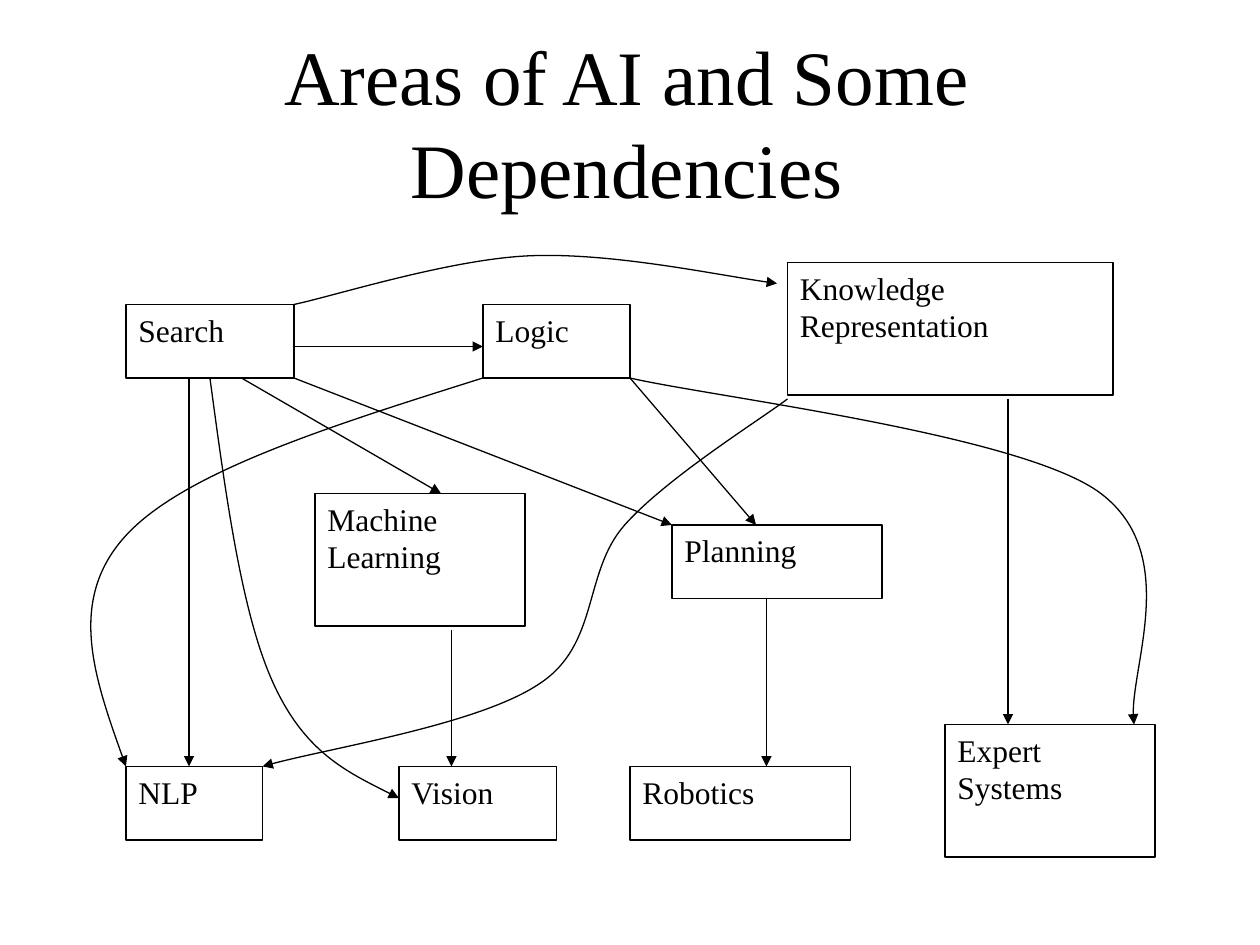
"""Build the slide of AI areas and the dependencies between them."""
from lxml.etree import SubElement
from pptx import Presentation
from pptx.dml.color import RGBColor
from pptx.enum.shapes import MSO_CONNECTOR, MSO_SHAPE
from pptx.enum.text import MSO_ANCHOR, PP_ALIGN
from pptx.oxml.ns import qn
from pptx.util import Pt

PX = 9525
THEME = {
    "ink": RGBColor(0, 0, 0),
    "line": Pt(0.75),
    "title": {"name": "Times New Roman", "size": Pt(44)},
    "label": {"name": "Times New Roman", "size": Pt(18)},
}
SHORT, TALL = 56, 101
BOXES = [
    ("Search", 96, 232, 128, SHORT),
    ("Vision", 304, 584, 120, SHORT),
    ("Planning", 512, 400, 160, SHORT),
    ("Machine Learning", 240, 376, 160, TALL),
    ("Knowledge Representation", 600, 200, 248, TALL),
    ("Logic", 368, 232, 112, SHORT),
    ("Expert Systems", 720, 552, 160, TALL),
    ("Robotics", 480, 584, 168, SHORT),
    ("NLP", 96, 584, 104, SHORT),
]
ARROWS = [
    (144, 288, 144, 584),
    (224, 264, 368, 264),
    (224, 288, 512, 400),
    (184, 288, 336, 376),
    (480, 288, 576, 400),
    (768, 304, 768, 552),
    (344, 480, 344, 584),
    (584, 456, 584, 584),
]
CURVES = [
    [(224, 232), (253, 226), (341, 198), (402, 195), (464, 192), (553, 211), (592, 216)],
    [(160, 288), (172, 377), (184, 467), (208, 520), (232, 573), (268, 590), (304, 608)],
    [(368, 288), (254, 324), (141, 359), (96, 408), (51, 457), (73, 520), (96, 584)],
    [(480, 288), (540, 302), (772, 330), (836, 374), (900, 419), (858, 515), (864, 552)],
    [(600, 304), (579, 320), (508, 364), (476, 400), (444, 436), (457, 491), (411, 521),
     (365, 552), (244, 571), (200, 584)],
]


def write(sp, text, style, align, anchor):
    tf = sp.text_frame
    for key, value in {"word_wrap": True, "vertical_anchor": anchor}.items():
        setattr(tf, key, value)
    p = tf.paragraphs[0]
    p.alignment = align
    r = p.add_run()
    r.text = text
    for key, value in THEME[style].items():
        setattr(r.font, key, value)
    r.font.color.rgb = THEME["ink"]


def draw_line(sp, arrow):
    sp.line.color.rgb = THEME["ink"]
    sp.line.width = THEME["line"]
    props = sp.element.spPr
    if arrow:
        SubElement(props.find(qn("a:ln")), qn("a:tailEnd"), type="triangle")
    SubElement(props, qn("a:effectLst"))


prs = Presentation()
prs.slide_width, prs.slide_height = 960 * PX, 720 * PX
s = prs.slides.add_slide(prs.slide_layouts[6])

title = s.shapes.add_textbox(64 * PX, 16 * PX, 827 * PX, 153 * PX)
write(title, "Areas of AI and Some Dependencies", "title", PP_ALIGN.CENTER, MSO_ANCHOR.MIDDLE)

for text, *frame in BOXES:
    sp = s.shapes.add_shape(MSO_SHAPE.RECTANGLE, *(v * PX for v in frame))
    sp.fill.background()
    draw_line(sp, arrow=False)
    write(sp, text, "label", PP_ALIGN.LEFT, MSO_ANCHOR.TOP)

for ends in ARROWS:
    sp = s.shapes.add_connector(MSO_CONNECTOR.STRAIGHT, *(v * PX for v in ends))
    draw_line(sp, arrow=True)

for knots in CURVES:
    fb = s.shapes.build_freeform(*knots[0], scale=PX)
    fb.add_line_segments(knots[1:], close=False)
    sp = fb.convert_to_shape()
    outline = next(sp.element.spPr.iter(qn("a:path")))
    segments = outline.findall(qn("a:lnTo"))
    for i in range(0, len(segments), 3):
        bezier = SubElement(outline, qn("a:cubicBezTo"))
        for segment in segments[i:i + 3]:
            bezier.append(segment[0])
            outline.remove(segment)
    sp.fill.background()
    draw_line(sp, arrow=True)

prs.save("out.pptx")
